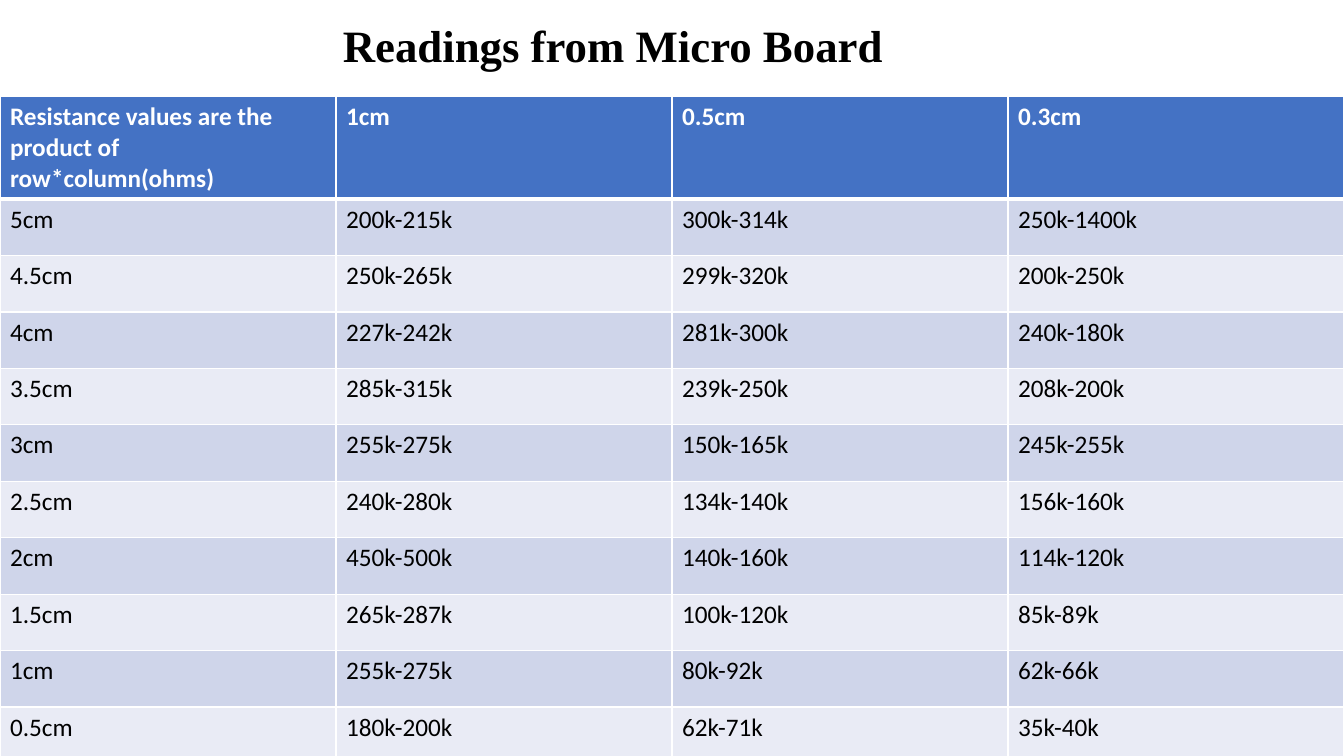
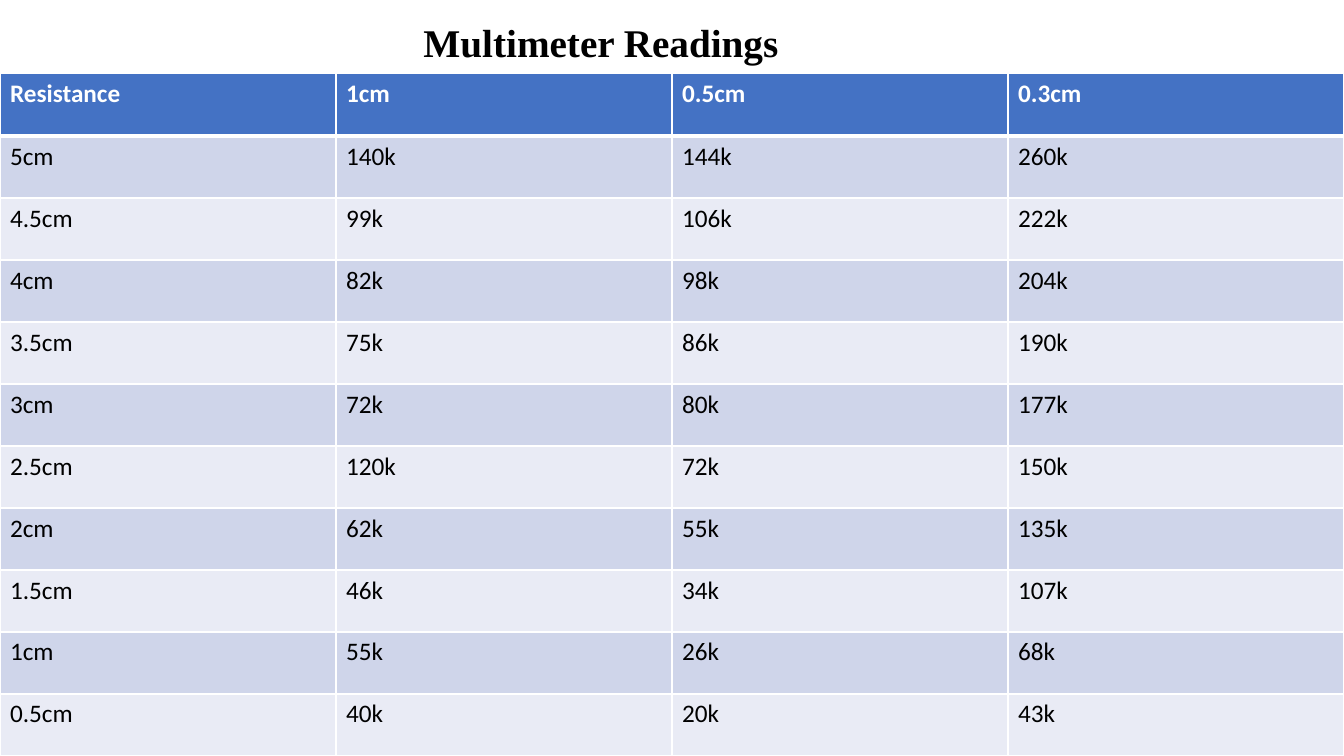
from lxml.etree import SubElement
from pptx import Presentation
from pptx.dml.color import RGBColor
from pptx.enum.text import MSO_ANCHOR, MSO_AUTO_SIZE, PP_ALIGN
from pptx.oxml.ns import qn
from pptx.util import Inches, Pt

# Shared look
COLORS = {
    "header": "4472C4",
    "odd_row": "CFD5EA",
    "even_row": "E9EBF5",
    "white": "FFFFFF",
    "black": "000000",
}
TITLE_FONT = "Times New Roman"
TABLE_FONT = "Calibri"
SLIDE_WIDTH, SLIDE_HEIGHT = 13.33, 7.5
TITLE_TOP = 0.13
TITLE_ONLY_LAYOUT = 5
WIDTHS = ["1cm", "0.5cm", "0.3cm"]
LENGTHS = ["5cm", "4.5cm", "4cm", "3.5cm", "3cm",
           "2.5cm", "2cm", "1.5cm", "1cm", "0.5cm"]

# Content: one entry per slide, readings in the order of LENGTHS and WIDTHS
SLIDES = [
    {
        "title": "Readings from Micro Board",
        "title_left": 3.3, "title_width": 9.09, "title_height": 0.64, "title_size": 32,
        "corner": "Resistance values are the product of row*column(ohms)",
        "table_top": 0.96, "header_height": 0.96, "row_height": 0.56,
        "readings": [
            ["200k-215k", "300k-314k", "250k-1400k"],
            ["250k-265k", "299k-320k", "200k-250k"],
            ["227k-242k", "281k-300k", "240k-180k"],
            ["285k-315k", "239k-250k", "208k-200k"],
            ["255k-275k", "150k-165k", "245k-255k"],
            ["240k-280k", "134k-140k", "156k-160k"],
            ["450k-500k", "140k-160k", "114k-120k"],
            ["265k-287k", "100k-120k", "85k-89k"],
            ["255k-275k", "80k-92k", "62k-66k"],
            ["180k-200k", "62k-71k", "35k-40k"],
        ],
    },
    {
        "title": "Multimeter Readings",
        "title_left": 4.1, "title_width": 6.17, "title_height": 0.57, "title_size": 28,
        "corner": "Resistance",
        "table_top": 0.73, "header_height": 0.62, "row_height": 0.615,
        "readings": [
            ["140k", "144k", "260k"],
            ["99k", "106k", "222k"],
            ["82k", "98k", "204k"],
            ["75k", "86k", "190k"],
            ["72k", "80k", "177k"],
            ["120k", "72k", "150k"],
            ["62k", "55k", "135k"],
            ["46k", "34k", "107k"],
            ["55k", "26k", "68k"],
            ["40k", "20k", "43k"],
        ],
    },
]


def style_font(font, name, size, color, bold):
    font.name = name
    font.size = Pt(size)
    font.bold = bold
    font.color.rgb = RGBColor.from_string(COLORS[color])


def add_borders(cell, top, bottom):
    """Draw white cell borders; top and bottom are widths in points."""
    properties = cell._tc.get_or_add_tcPr()
    for side, width in (("L", 1), ("R", 1), ("T", top), ("B", bottom)):
        line = SubElement(properties, qn(f"a:ln{side}"), w=str(Pt(width)))
        fill = SubElement(line, qn("a:solidFill"))
        SubElement(fill, qn("a:srgbClr"), val=COLORS["white"])


presentation = Presentation()
presentation.slide_width = Inches(SLIDE_WIDTH)
presentation.slide_height = Inches(SLIDE_HEIGHT)

for content in SLIDES:
    slide = presentation.slides.add_slide(presentation.slide_layouts[TITLE_ONLY_LAYOUT])

    # Title
    title = slide.shapes.title
    title.left, title.top = Inches(content["title_left"]), Inches(TITLE_TOP)
    title.width, title.height = Inches(content["title_width"]), Inches(content["title_height"])
    title.text_frame.text = content["title"]
    title.text_frame.word_wrap = True
    title.text_frame.auto_size = MSO_AUTO_SIZE.NONE
    title.text_frame.vertical_anchor = MSO_ANCHOR.TOP
    paragraph = title.text_frame.paragraphs[0]
    paragraph.alignment = PP_ALIGN.LEFT
    style_font(paragraph.font, TITLE_FONT, content["title_size"], "black", True)

    # Table across the full slide width
    rows = [[content["corner"], *WIDTHS]]
    rows += [[length, *values] for length, values in zip(LENGTHS, content["readings"])]
    heights = [content["header_height"]] + [content["row_height"]] * len(LENGTHS)
    table = slide.shapes.add_table(
        len(rows), len(rows[0]), 0, Inches(content["table_top"]),
        Inches(SLIDE_WIDTH), Inches(sum(heights))).table

    # Header row, then alternating bands
    for row_index, (texts, height) in enumerate(zip(rows, heights)):
        table.rows[row_index].height = Inches(height)
        is_header = row_index == 0
        band = "header" if is_header else "odd_row" if row_index % 2 else "even_row"
        for column_index, text in enumerate(texts):
            cell = table.cell(row_index, column_index)
            cell.text = text
            add_borders(cell, top=3 if row_index == 1 else 1, bottom=3 if is_header else 1)
            cell.fill.solid()
            cell.fill.fore_color.rgb = RGBColor.from_string(COLORS[band])
            style_font(cell.text_frame.paragraphs[0].font, TABLE_FONT, 18,
                       "white" if is_header else "black", is_header)

presentation.save("out.pptx")
